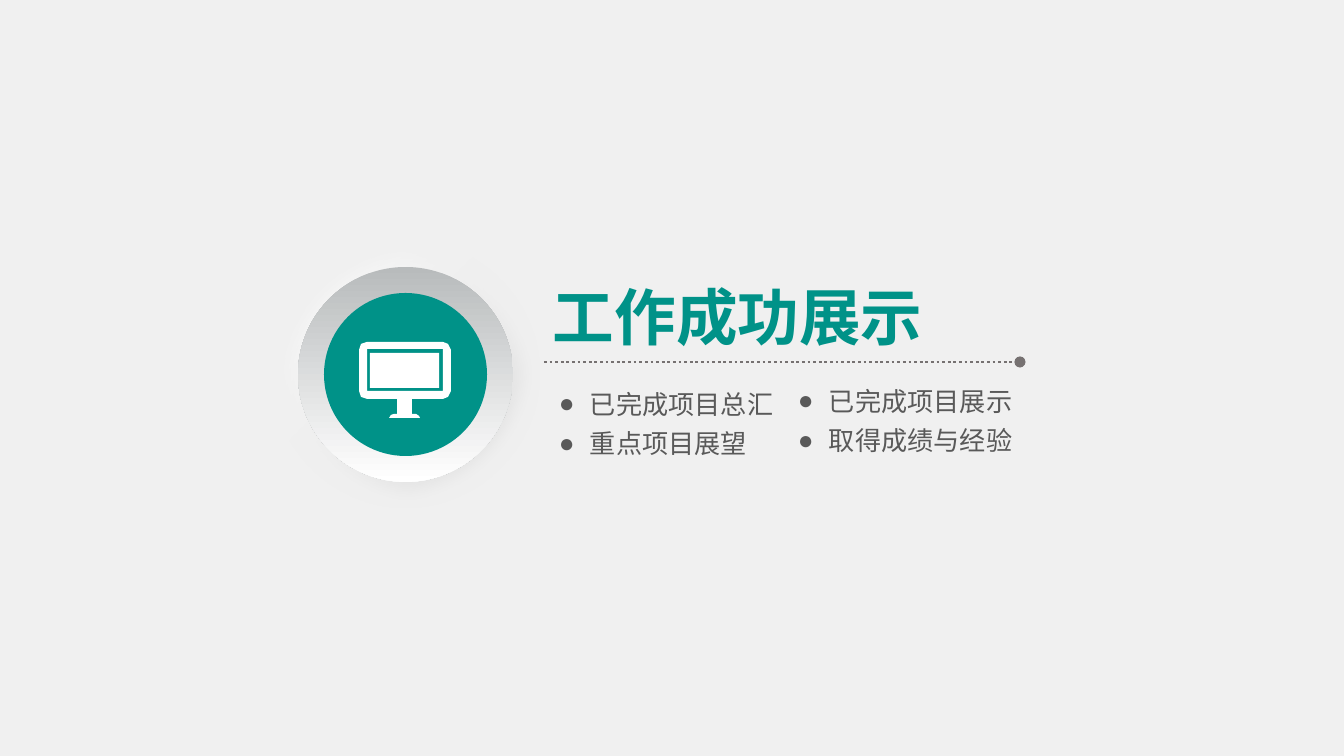
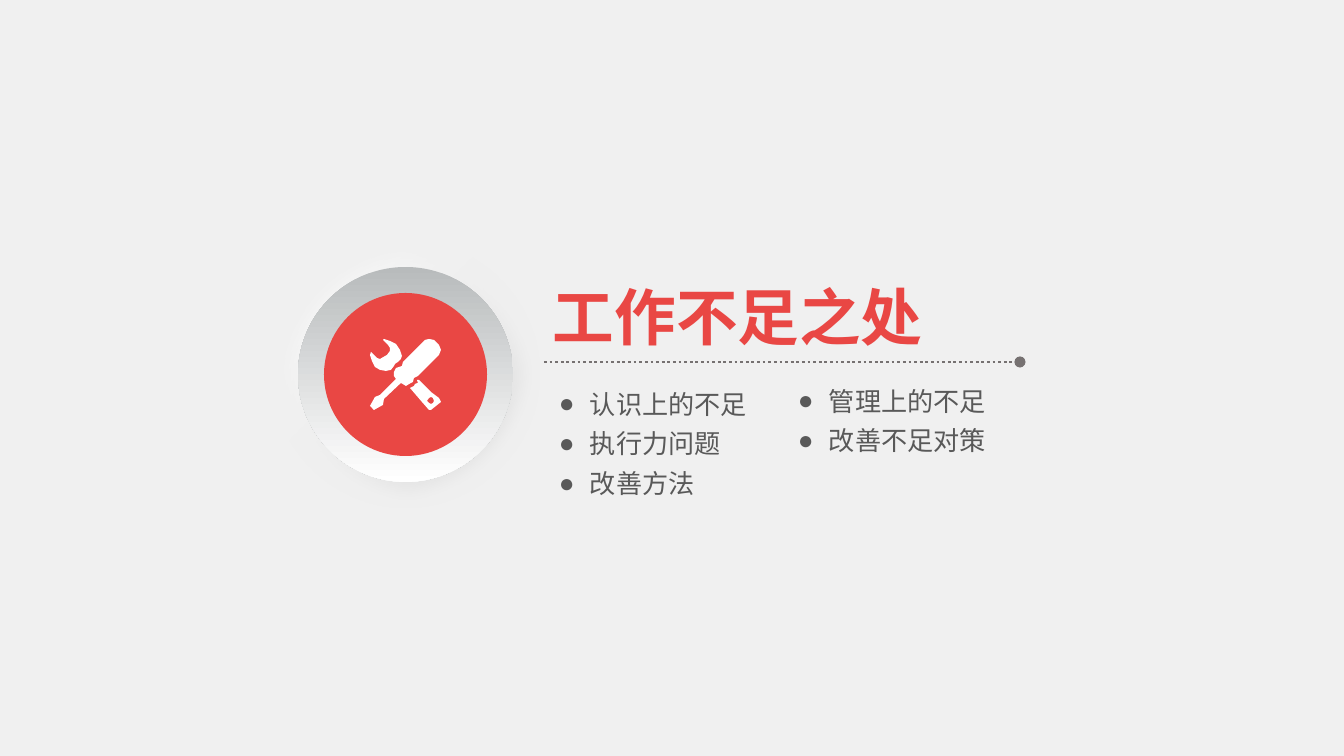
from lxml import etree
from pptx import Presentation
from pptx.dml.color import RGBColor
from pptx.enum import dml, shapes, text
from pptx.oxml.ns import qn
from pptx.util import Pt

PX = 914400 / 134.4  # EMU in one px
FONT = "Noto Sans CJK SC"
BACKGROUND, WHITE = "F0F0F0", "FFFFFF"
BODY_GREY, RULE_GREY = "595959", "767171"
TEAL, RED = "009288", "E94744"
ROW_PITCH = 46

# Each icon is a list of closed outlines in px.
MONITOR = [
    [(367, 342), (443, 342), (448, 344), (451, 350), (451, 391), (448, 397),
     (443, 399), (412, 399), (412, 414), (416, 414), (419, 416), (420, 418),
     (389, 418), (391, 415), (394, 414), (397, 414), (397, 399), (367, 399),
     (361, 397), (359, 391), (359, 350), (361, 344)],
    [(367, 349), (443, 349), (443, 391), (367, 391)],
    [(370, 353), (439, 353), (439, 388), (370, 388)],
]
TOOLS = [
    # wrench handle and its hole
    [(417, 380), (418, 383), (415, 384), (414, 386), (410, 388), (422, 402),
     (429, 410), (431, 410), (441, 402), (439, 398), (431, 392), (419, 380)],
    [(431, 397), (433, 398), (434, 401), (433, 403), (431, 404), (429, 403),
     (427, 401), (429, 398)],
    # wrench head
    [(395, 364), (398, 362), (401, 359), (402, 356), (400, 350), (396, 344),
     (390, 341), (384, 339), (383, 340), (388, 345), (390, 348), (390, 351),
     (387, 355), (380, 359), (377, 358), (371, 352), (370, 355), (372, 361),
     (375, 367), (380, 370), (386, 371), (391, 370), (394, 366)],
    # screwdriver
    [(439, 345), (434, 340), (429, 339), (425, 340), (403, 362), (402, 366),
     (399, 367), (396, 368), (394, 372), (394, 376), (396, 379), (380, 395),
     (375, 397), (370, 406), (374, 410), (383, 405), (384, 399), (401, 383),
     (406, 386), (411, 383), (413, 382), (414, 378), (418, 376), (439, 355),
     (441, 350)],
]

SECTIONS = [
    dict(title="工作成功展示", color=TEAL, icon=MONITOR,
         columns=[["已完成项目总汇", "重点项目展望"],
                  ["已完成项目展示", "取得成绩与经验"]]),
    dict(title="工作不足之处", color=RED, icon=TOOLS,
         columns=[["认识上的不足", "执行力问题", "改善方法"],
                  ["管理上的不足", "改善不足对策"]]),
]


def rgb(value):
    return RGBColor.from_string(value)


def write(shape, lines, box, size, color, bold=False, bullet=None):
    """Place a text shape at box (px) and fill it with one paragraph a line."""
    shape.left, shape.top, shape.width, shape.height = (round(n * PX) for n in box)
    frame = shape.text_frame
    frame.word_wrap = False
    frame.auto_size = text.MSO_AUTO_SIZE.SHAPE_TO_FIT_TEXT
    frame.vertical_anchor = text.MSO_ANCHOR.TOP
    frame.margin_left = frame.margin_right = round(9 * PX)
    frame.margin_top = frame.margin_bottom = round(5 * PX)
    for index, line in enumerate(lines):
        paragraph = frame.paragraphs[0] if index == 0 else frame.add_paragraph()
        if bullet:
            properties = paragraph._p.get_or_add_pPr()
            properties.set("marL", str(round(31 * PX)))
            properties.set("indent", str(round(-31 * PX)))
            etree.SubElement(properties, qn("a:buChar"), char=bullet)
        paragraph.alignment = text.PP_ALIGN.LEFT
        paragraph.space_before = Pt(4.5 if index else 0)
        run = paragraph.add_run()
        run.text = line
        run.font.size, run.font.bold, run.font.name = Pt(size), bold, FONT
        run.font.color.rgb = rgb(color)
        etree.SubElement(run._r.get_or_add_rPr(), qn("a:ea"), typeface=FONT)


presentation = Presentation()
presentation.slide_width = round(1344 * PX)
presentation.slide_height = round(756 * PX)
background = presentation.slide_master.background.fill
background.solid()
background.fore_color.rgb = rgb(BACKGROUND)
two_lists = presentation.slide_layouts[3]

for section in SECTIONS:
    slide = presentation.slides.add_slide(two_lists)
    title, *lists = slide.placeholders

    rule = slide.shapes.add_connector(
        shapes.MSO_CONNECTOR.STRAIGHT,
        *(round(n * PX) for n in (544, 362, 1020, 362)))
    rule.line.color.rgb = rgb(RULE_GREY)
    rule.line.width = Pt(1.5)
    rule.line.dash_style = dml.MSO_LINE.ROUND_DOT
    etree.SubElement(rule.line._get_or_add_ln(), qn("a:tailEnd"), type="oval")
    etree.SubElement(rule._element.spPr, qn("a:effectLst"))

    write(title, [section["title"]], (544, 274, 394, 85), 33,
          section["color"], bold=True)
    for shape, lines, left, top in zip(lists, section["columns"], (550, 789), (383, 380)):
        width = 54 + 26 * max(map(len, lines))
        height = 42 + ROW_PITCH * (len(lines) - 1)
        write(shape, lines, (left, top, width, height), 14, BODY_GREY, bullet="●")

    # Round badge: soft halo, shaded ring, coloured disc, white icon
    badge = slide.shapes.add_group_shape()
    discs = []
    for left, top, size in ((270, 239, 270), (298, 267, 215), (324, 293, 163)):
        disc = badge.shapes.add_shape(
            shapes.MSO_SHAPE.OVAL, *(round(n * PX) for n in (left, top, size, size)))
        disc.shadow.inherit = False
        disc.line.fill.background()
        discs.append(disc)
    halo, ring, core = discs
    for disc, start in ((halo, "D9D9D9"), (ring, "B8BBBC")):
        disc.fill.gradient()
        disc.fill.gradient_angle = 270
        for stop, color in zip(disc.fill.gradient_stops, (start, WHITE)):
            stop.color.rgb = rgb(color)
    core.fill.solid()
    core.fill.fore_color.rgb = rgb(section["color"])

    linear = halo._element.spPr.find(".//" + qn("a:lin"))
    radial = etree.Element(qn("a:path"), path="circle")
    etree.SubElement(radial, qn("a:fillToRect"), l="100000", t="100000")
    linear.getparent().replace(linear, radial)
    effects = halo._element.spPr.find(qn("a:effectLst"))
    etree.SubElement(effects, qn("a:softEdge"), rad=str(Pt(10)))

    first, *others = section["icon"]
    builder = badge.shapes.build_freeform(*first[0], scale=PX)
    builder.add_line_segments(first[1:], close=True)
    for outline in others:
        builder.move_to(*outline[0])
        builder.add_line_segments(outline[1:], close=True)
    icon = builder.convert_to_shape()
    icon.shadow.inherit = False
    icon.fill.solid()
    icon.fill.fore_color.rgb = rgb(WHITE)
    icon.line.fill.background()

presentation.save("out.pptx")
